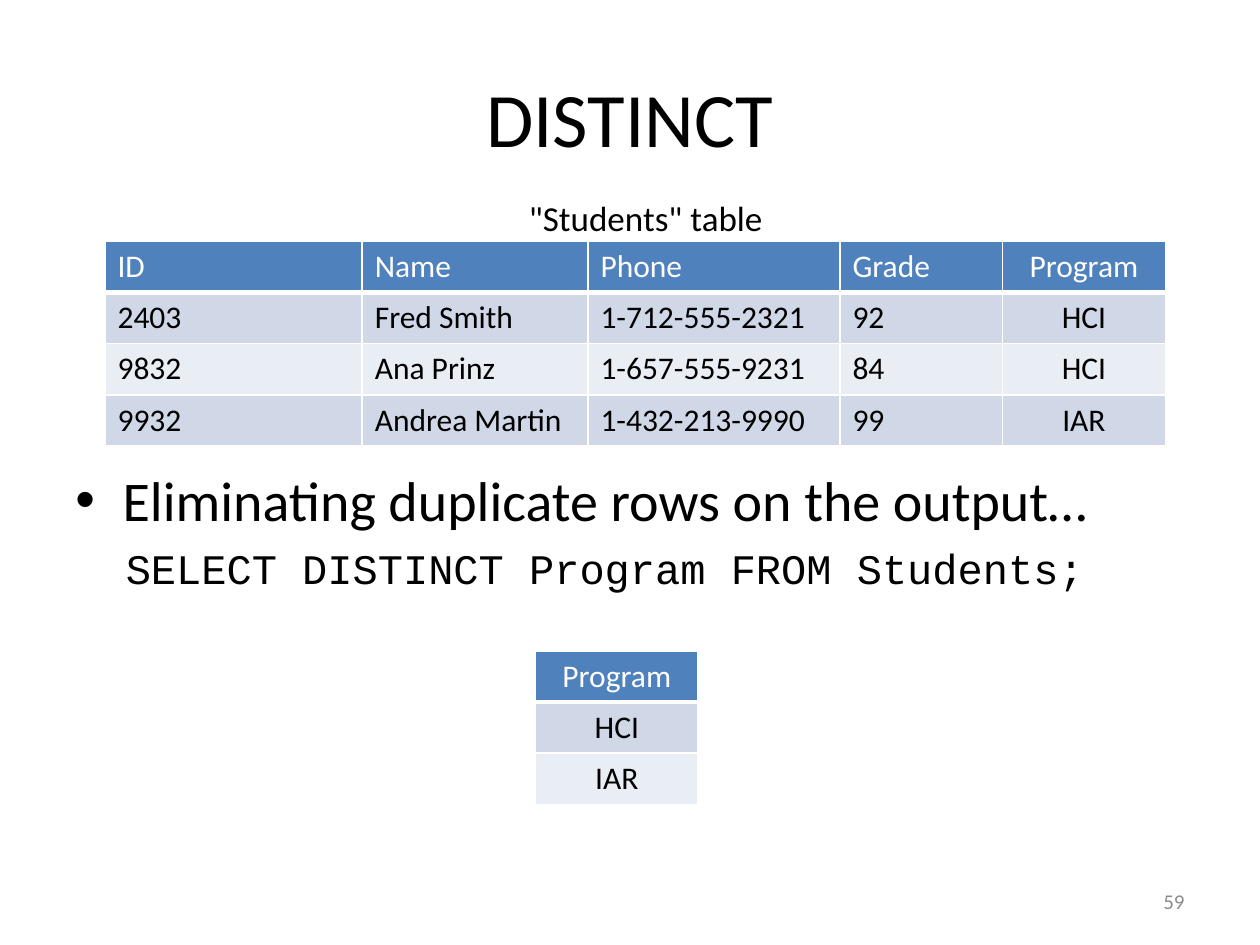
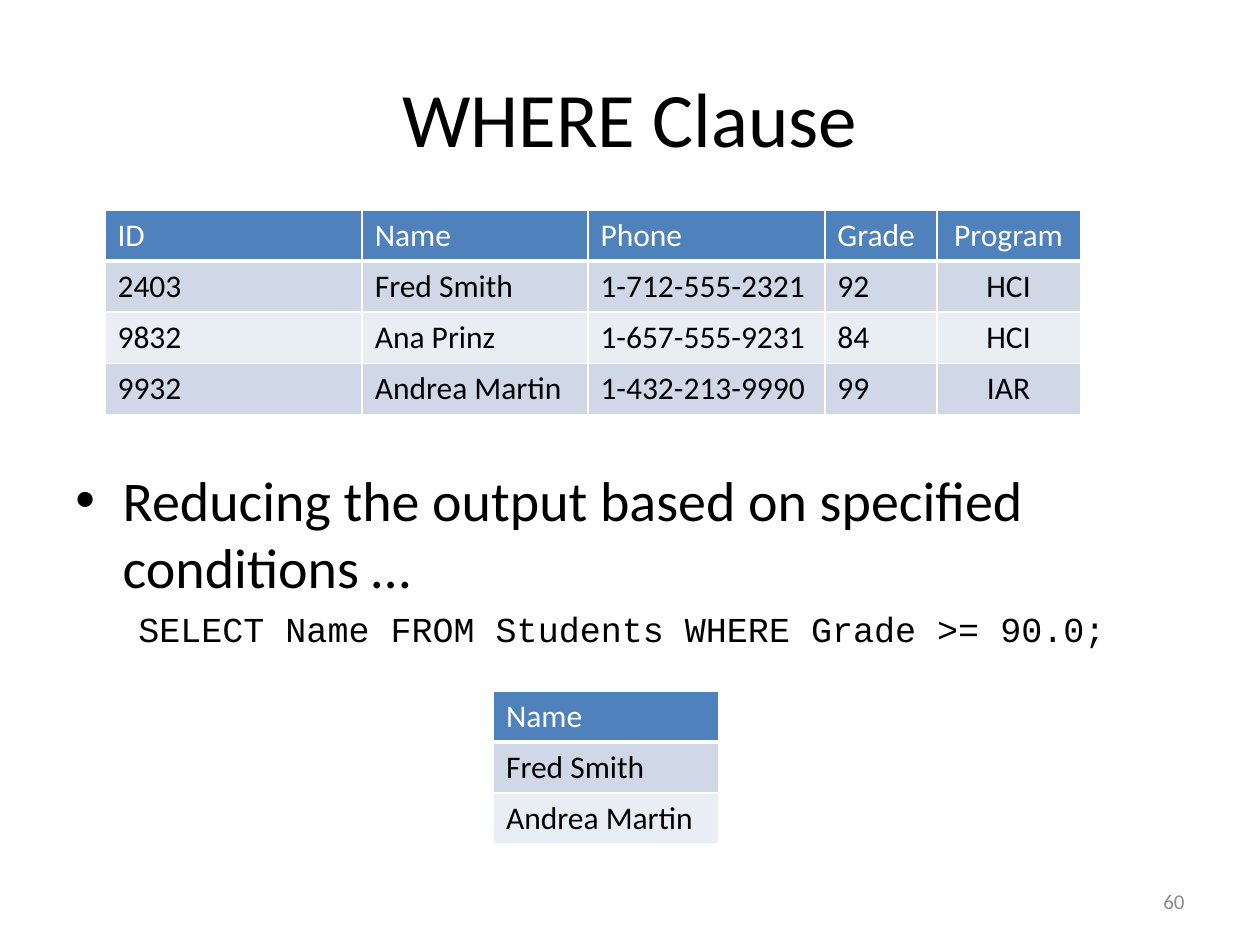
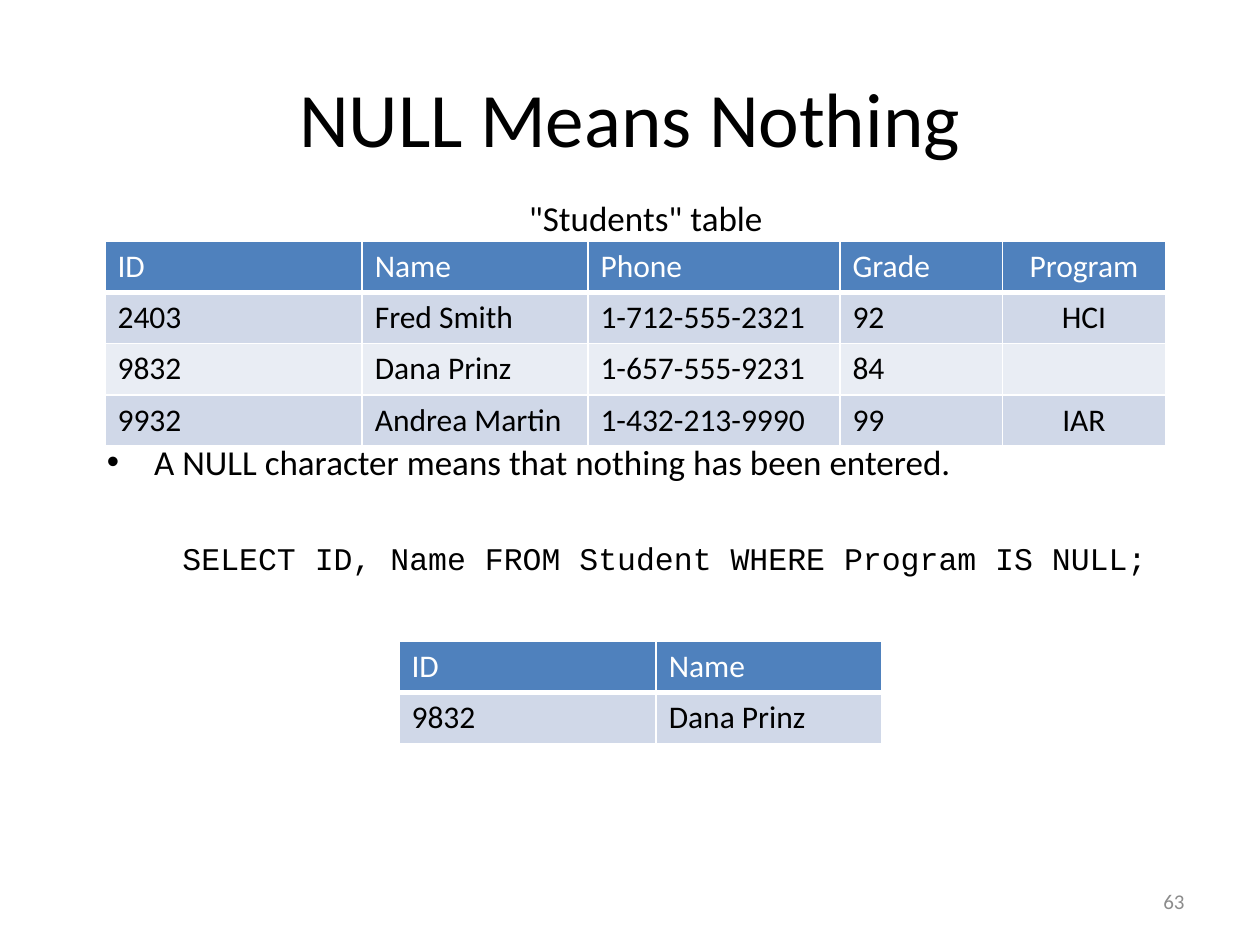
from lxml.etree import SubElement
from pptx import Presentation
from pptx.dml.color import RGBColor
from pptx.enum.text import MSO_ANCHOR, PP_ALIGN
from pptx.oxml.ns import qn
from pptx.util import Pt

BLACK, WHITE, GRAY = "000000", "FFFFFF", "8C8C8C"
HEADER, BANDS = "4F81BD", ("D0D8E8", "E9EDF4")
ROW_HEIGHT = 29.2
TABLE_LEFT = 60
COLUMN_NAMES = ["ID", "Name", "Phone", "Grade", "Program"]
CENTERED_COLUMN = "Program"
WIDE_COLUMNS = [147, 129, 144, 93, 93]
NARROW_COLUMNS = [147, 129, 135.4, 64, 82]


def rgb(value):
    """Turn a hex string into a colour."""
    return RGBColor.from_string(value)


def students(second_name, second_program):
    """Return the student rows with the given second student."""
    return [
        COLUMN_NAMES,
        ["2403", "Fred Smith", "1-712-555-2321", "92", "HCI"],
        ["9832", second_name, "1-657-555-9231", "84", second_program],
        ["9932", "Andrea Martin", "1-432-213-9990", "99", "IAR"],
    ]


class Deck:
    """Hold the presentation, its style and the current slide."""

    def __init__(self):
        """Start a 4:3 presentation."""
        self.presentation = Presentation()
        self.presentation.slide_width = Pt(720)
        self.presentation.slide_height = Pt(540)
        self.slide = None

    def add_text(self, paragraph, text, size, color=BLACK, font="Calibri", **formats):
        """Add one formatted run to a paragraph and format the paragraph."""
        run = paragraph.add_run()
        run.text = text
        run.font.color.rgb = rgb(color)
        for name, value in {"name": font, "size": Pt(size), "bold": False}.items():
            setattr(run.font, name, value)
        for name, value in formats.items():
            setattr(paragraph, name, value)

    def box(self, left, top, width, height, **formats):
        """Add a wrapping text box and return its text frame."""
        shape = self.slide.shapes.add_textbox(Pt(left), Pt(top), Pt(width), Pt(height))
        for name, value in {"word_wrap": True, **formats}.items():
            setattr(shape.text_frame, name, value)
        return shape.text_frame

    def start(self, title, number):
        """Add a slide with its title and slide number."""
        self.slide = self.presentation.slides.add_slide(self.presentation.slide_layouts[5])
        shape = self.slide.shapes.title
        frame = {"left": 36, "top": 21.6, "width": 648, "height": 90}
        for name, value in frame.items():
            setattr(shape, name, Pt(value))
        shape.text_frame.vertical_anchor = MSO_ANCHOR.MIDDLE
        self.add_text(shape.text_frame.paragraphs[0], title, 44, alignment=PP_ALIGN.CENTER)
        footer = self.box(516, 500.5, 168, 28.8, vertical_anchor=MSO_ANCHOR.MIDDLE)
        self.add_text(footer.paragraphs[0], str(number), 12, GRAY, alignment=PP_ALIGN.RIGHT)

    def caption(self, text):
        """Add the centred caption above the main table."""
        frame = self.box(168, 109, 402, 42)
        self.add_text(frame.paragraphs[0], text, 20, alignment=PP_ALIGN.CENTER)

    def body(self, bullet, query, left, top, width, bullet_size, query_size, query_indent, gap):
        """Add a bulleted statement followed by an indented query."""
        frame = self.box(left, top, width, 216, margin_top=0)
        paragraph = frame.paragraphs[0]
        self.add_text(paragraph, bullet, bullet_size)
        properties = paragraph._p.get_or_add_pPr()
        properties.set("marL", str(Pt(27)))
        properties.set("indent", str(-Pt(27)))
        SubElement(properties, qn("a:buFont"), typeface="Arial")
        SubElement(properties, qn("a:buChar"), char="•")
        paragraph = frame.add_paragraph()
        self.add_text(paragraph, query, query_size, font="Courier New", space_before=Pt(gap))
        paragraph._p.get_or_add_pPr().set("marL", str(Pt(query_indent)))

    def borders(self, cell, bottom):
        """Draw white borders around a cell."""
        properties = cell._tc.get_or_add_tcPr()
        for side, width in {"L": 1, "R": 1, "T": 1, "B": bottom}.items():
            line = SubElement(properties, qn(f"a:ln{side}"), w=str(Pt(width)))
            fill = SubElement(line, qn("a:solidFill"))
            SubElement(fill, qn("a:srgbClr"), val=WHITE)

    def table(self, rows, left, top, widths):
        """Add a banded table whose first row is the header."""
        shape = self.slide.shapes.add_table(
            len(rows), len(widths), Pt(left), Pt(top),
            Pt(sum(widths)), Pt(ROW_HEIGHT * len(rows)))
        table = shape.table
        for column, width in zip(table.columns, widths):
            column.width = Pt(width)
        for row_index, row in enumerate(rows):
            table.rows[row_index].height = Pt(ROW_HEIGHT)
            is_header = row_index == 0
            for column_index, text in enumerate(row):
                cell = table.cell(row_index, column_index)
                self.borders(cell, 3 if is_header else 1)
                cell.fill.solid()
                cell.fill.fore_color.rgb = rgb(HEADER if is_header else BANDS[(row_index - 1) % 2])
                if text:
                    centered = rows[0][column_index] == CENTERED_COLUMN
                    self.add_text(cell.text_frame.paragraphs[0], text, 18,
                                  WHITE if is_header else BLACK,
                                  alignment=PP_ALIGN.CENTER if centered else PP_ALIGN.LEFT)


def main():
    """Build the three query slides."""
    deck = Deck()

    deck.start("DISTINCT", 59)
    deck.body("Eliminating duplicate rows on the output…",
              "SELECT DISTINCT Program FROM Students;",
              left=36, top=266, width=648, bullet_size=32,
              query_size=24, query_indent=28.8, gap=5.4)
    deck.table(students("Ana Prinz", "HCI"), TABLE_LEFT, 138, WIDE_COLUMNS)
    deck.table([["Program"], ["HCI"], ["IAR"]], 306, 372, [93])
    deck.caption('"Students" table')

    deck.start("WHERE Clause", 60)
    deck.body("Reducing the output based on specified conditions …",
              "SELECT Name FROM Students WHERE Grade >= 90.0;",
              left=36, top=266, width=648, bullet_size=32,
              query_size=20, query_indent=36, gap=4.5)
    deck.table(students("Ana Prinz", "HCI"), TABLE_LEFT, 120, NARROW_COLUMNS)
    deck.table([["Name"], ["Fred Smith"], ["Andrea Martin"]], 282, 394.8, [129])

    deck.start("NULL Means Nothing", 63)
    deck.body("A NULL character means that nothing has been entered.",
              "SELECT ID, Name FROM Student WHERE Program IS NULL;",
              left=54, top=251.5, width=612, bullet_size=20,
              query_size=18, query_indent=43.2, gap=32.4)
    deck.table(students("Dana Prinz", ""), TABLE_LEFT, 138, WIDE_COLUMNS)
    deck.caption('"Students" table')
    deck.table([["ID", "Name"], ["9832", "Dana Prinz"]], 228, 366.5, [147, 129])

    deck.presentation.save("out.pptx")


if __name__ == "__main__":
    main()
